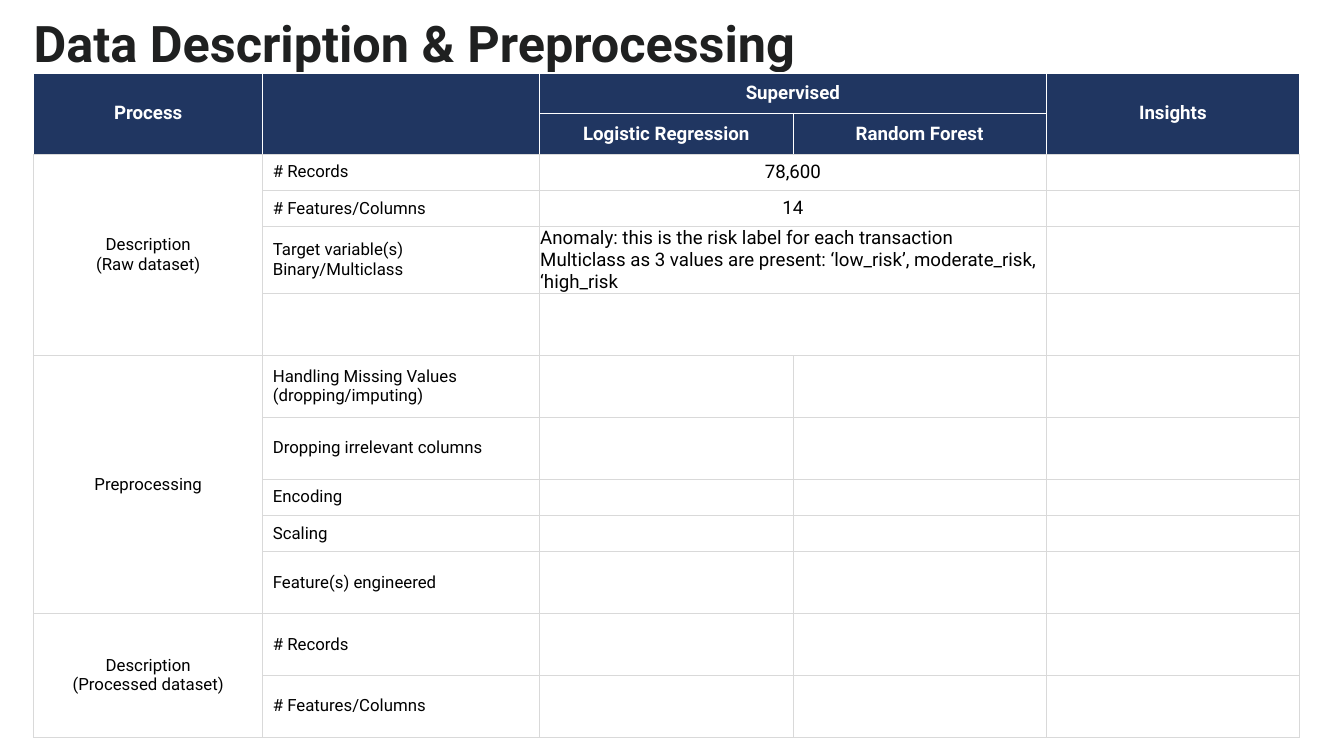
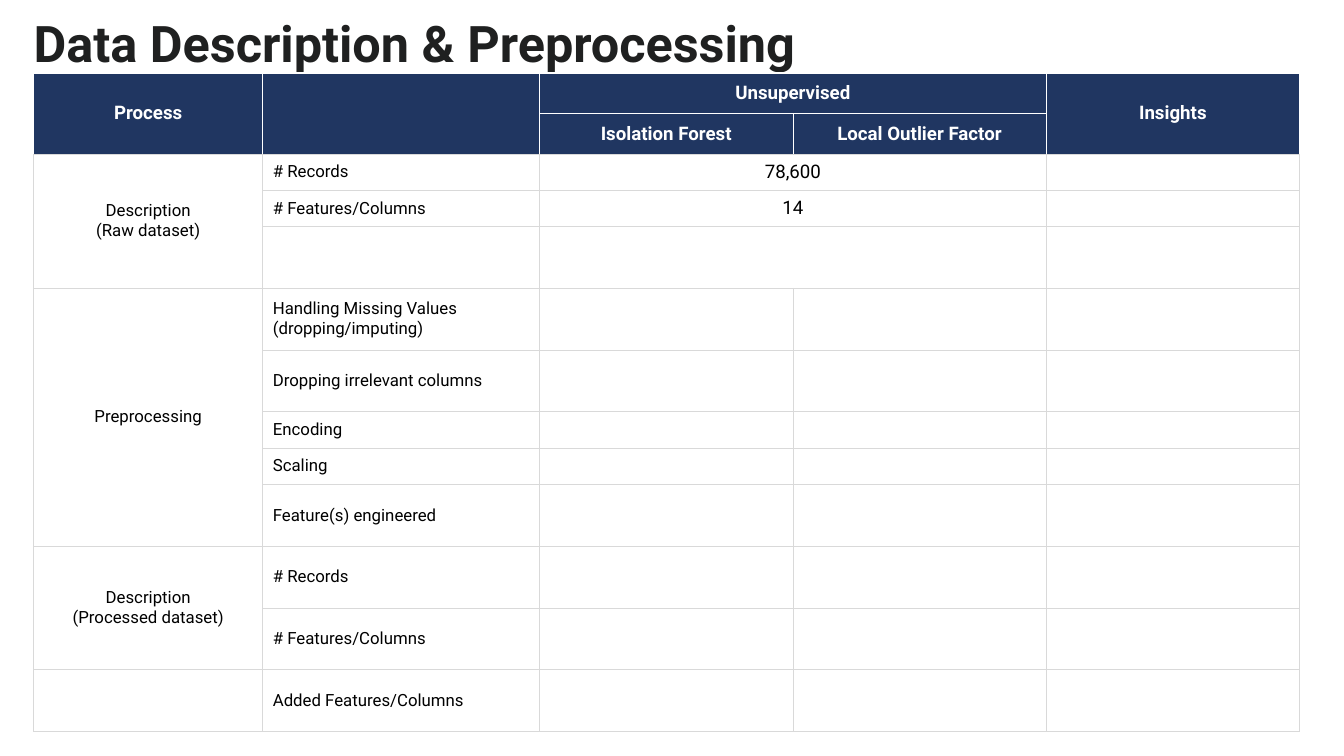
"""Build two slides that tabulate data description and preprocessing by model."""
import pptx
import pptx.dml.color
import pptx.enum.text
import pptx.oxml
import pptx.oxml.ns
import pptx.util

TITLE = "Data Description & Preprocessing"
FONT = "Roboto"
NAVY, WHITE, GREY, INK, BLACK = "203661", "FFFFFF", "D9D9D9", "1F2020", "000000"
WIDE, HIGH = 20, 11.25
LEFT, TOP = 0.5, 1.09
COLS = [3.41, 4.12, 3.77, 3.77, 3.77]
HEAD, SLIM, TALL, FULL = 0.6, 0.54, 0.92, 1.0
CENTER, START = pptx.enum.text.PP_ALIGN.CENTER, pptx.enum.text.PP_ALIGN.LEFT

COUNTS = [("# Records", SLIM, "78,600"), ("# Features/Columns", SLIM, "14")]
TARGET = ("Target variable(s)\nBinary/Multiclass", FULL,
          "Anomaly: this is the risk label for each transaction\n"
          "Multiclass as 3 values are present: ‘low_risk’, moderate_risk, ‘high_risk")
BLANK = ("", TALL, "")
RAW = "Description\n(Raw dataset)"
STEPS = [
    ("Preprocessing", [
        ("Handling Missing Values (dropping/imputing)", TALL),
        ("Dropping irrelevant columns", TALL),
        ("Encoding", SLIM),
        ("Scaling", SLIM),
        ("Feature(s) engineered", TALL)]),
    ("Description\n(Processed dataset)", [
        ("# Records", TALL),
        ("# Features/Columns", TALL)]),
]
SLIDES = [
    ("Supervised", ["Logistic Regression", "Random Forest"],
     [(RAW, COUNTS + [TARGET, BLANK])] + STEPS),
    ("Unsupervised", ["Isolation Forest", "Local Outlier Factor"],
     [(RAW, COUNTS + [BLANK])] + STEPS + [("", [("Added Features/Columns", TALL)])]),
]


def inch(size):
    return pptx.util.Inches(size)


def tint(code):
    return pptx.dml.color.RGBColor.from_string(code)


def style(frame, size, color, bold=False, align=START):
    for para in frame.paragraphs:
        para.alignment = align
        font = para.font
        font.name, font.size, font.bold = FONT, pptx.util.Pt(size), bold
        font.color.rgb = tint(color)


def edge(cell, left=GREY, right=GREY, top=GREY, bottom=GREY, thick=1):
    props = cell._tc.get_or_add_tcPr()
    sides = [("L", left, 1), ("R", right, 1), ("T", top, thick), ("B", bottom, 1)]
    for place, (side, color, width) in enumerate(sides):
        props.insert(place, pptx.oxml.parse_xml(
            f'<a:ln{side} {pptx.oxml.ns.nsdecls("a")} w="{width * 12700}">'
            f'<a:solidFill><a:srgbClr val="{color}"/></a:solidFill></a:ln{side}>'))


def write(cell, text, size, color=BLACK, bold=False, align=START, pad=(0.05, 0.05)):
    cell.vertical_anchor = pptx.enum.text.MSO_ANCHOR.MIDDLE
    cell.margin_left = cell.margin_right = inch(pad[0])
    cell.margin_top = cell.margin_bottom = inch(pad[1])
    if text:
        cell.text = text
        style(cell.text_frame, size, color, bold, align)


def add_title(slide):
    box = slide.shapes.add_textbox(inch(LEFT), inch(0.3), inch(12.92), inch(0.79))
    frame = box.text_frame
    frame.word_wrap = True
    frame.margin_left = frame.margin_right = frame.margin_top = frame.margin_bottom = 0
    frame.auto_size = pptx.enum.text.MSO_AUTO_SIZE.SHAPE_TO_FIT_TEXT
    frame.text = TITLE
    style(frame, 54, INK, True)
    frame.paragraphs[0].line_spacing = pptx.util.Pt(56)


def add_head(table, kind, models):
    for row in range(2):
        for col in range(len(COLS)):
            cell = table.cell(row, col)
            cell.fill.solid()
            cell.fill.fore_color.rgb = tint(NAVY)
            split = row == 0 and col in (2, 3)
            edge(cell, WHITE, WHITE, WHITE, WHITE if split else GREY, 1 if row else 3)
    for col in (0, 1, 4):
        table.cell(0, col).merge(table.cell(1, col))
    table.cell(0, 2).merge(table.cell(0, 3))
    spots = [(0, 0, "Process"), (0, 2, kind), (0, 4, "Insights"),
             (1, 2, models[0]), (1, 3, models[1])]
    for row, col, text in spots:
        write(table.cell(row, col), text, 20, WHITE, True, CENTER, (0.1, 0.05))


def add_body(table, groups):
    row = 2
    for group, items in groups:
        first = row
        for label, _, *value in items:
            for col in range(len(COLS)):
                cell = table.cell(row, col)
                cell.fill.background()
                edge(cell)
            write(table.cell(row, 1), label, 18, pad=(0.15, 0.06))
            if value:
                table.cell(row, 2).merge(table.cell(row, 3))
                align = START if "\n" in value[0] else CENTER
                write(table.cell(row, 2), value[0], 20, align=align, pad=(0.01, 0))
            row += 1
        if len(items) > 1:
            table.cell(first, 0).merge(table.cell(row - 1, 0))
        write(table.cell(first, 0), group, 18, align=CENTER)


def add_grid(slide, kind, models, groups):
    rows = [HEAD, HEAD] + [item[1] for _, items in groups for item in items]
    table = slide.shapes.add_table(len(rows), len(COLS), inch(LEFT), inch(TOP),
                                   inch(sum(COLS)), inch(sum(rows))).table
    table.first_row = table.horz_banding = False
    for col, width in zip(table.columns, COLS):
        col.width = inch(width)
    for row, height in zip(table.rows, rows):
        row.height = inch(height)
    add_head(table, kind, models)
    add_body(table, groups)


def main():
    deck = pptx.Presentation()
    deck.slide_width, deck.slide_height = inch(WIDE), inch(HIGH)
    for kind, models, groups in SLIDES:
        slide = deck.slides.add_slide(deck.slide_layouts[6])
        add_title(slide)
        add_grid(slide, kind, models, groups)
    deck.save("out.pptx")


if __name__ == "__main__":
    main()
